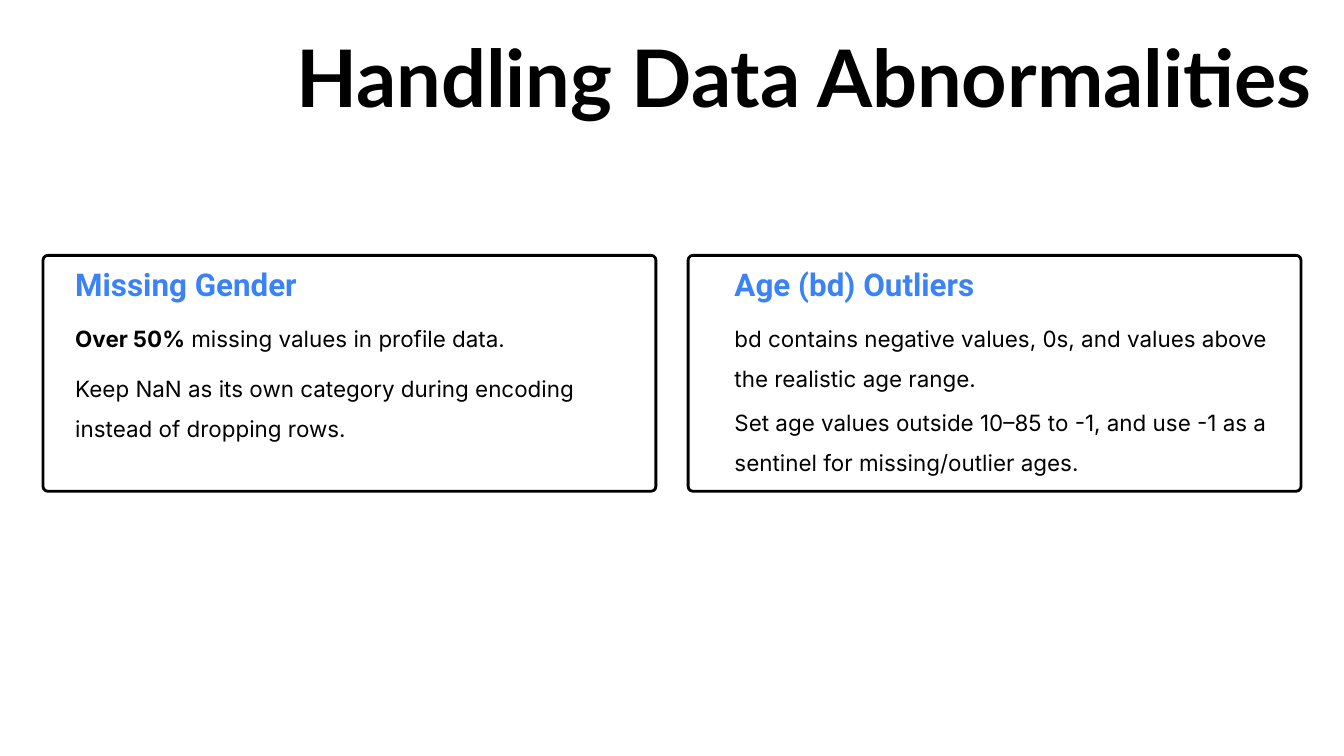
from pptx import Presentation
from pptx import util as u
from pptx.dml.color import RGBColor
from pptx.enum import shapes, text

BLACK = RGBColor(0x00, 0x00, 0x00)
BLUE = RGBColor(0x3B, 0x82, 0xF6)

deck = Presentation()
deck.slide_width = u.Inches(20)
deck.slide_height = u.Inches(11.25)
slide = deck.slides.add_slide(deck.slide_layouts[6])


def write(content, left, top, width, height, size=24, font="Inter", color=BLACK,
          bold=False, lead="", spacing=43.3, align=text.PP_ALIGN.LEFT):
    box = slide.shapes.add_textbox(
        u.Inches(left), u.Inches(top), u.Inches(width), u.Inches(height))
    frame = box.text_frame
    frame.word_wrap = True
    frame.auto_size = text.MSO_AUTO_SIZE.SHAPE_TO_FIT_TEXT
    frame.margin_left = frame.margin_right = 0
    frame.margin_top = frame.margin_bottom = 0
    paragraph = frame.paragraphs[0]
    paragraph.alignment = align
    paragraph.line_spacing = u.Pt(spacing)
    for words, heavy in ((lead, True), (content, bold)):
        if words:
            run = paragraph.add_run()
            run.text = words
            run.font.size = u.Pt(size)
            run.font.name = font
            run.font.bold = heavy
            run.font.color.rgb = color


write("Handling Data Abnormalities", 2.84, 0.42, 16.68, 1.42, size=85, font="Lato",
      bold=True, spacing=102, align=text.PP_ALIGN.RIGHT)

abnormalities = [
    (0.64, 1.12, "Missing Gender", [
        (4.63, 0.56, "Over 50%", " missing values in profile data."),
        (5.38, 1.16, "", "Keep NaN as its own category during encoding "
                         "instead of dropping rows."),
    ]),
    (10.24, 10.93, "Age (bd) Outliers", [
        (4.63, 1.16, "", "bd contains negative values, 0s, and values above "
                         "the realistic age range."),
        (5.88, 1.16, "", "Set age values outside 10–85 to -1, and use -1 as a "
                         "sentinel for missing/outlier ages."),
    ]),
]

for card_left, text_left, heading, details in abnormalities:
    card = slide.shapes.add_shape(
        shapes.MSO_SHAPE.ROUNDED_RECTANGLE,
        u.Inches(card_left), u.Inches(3.8), u.Inches(9.12), u.Inches(3.51))
    card.adjustments[0] = 0.02
    card.shadow.inherit = False
    card.fill.background()
    card.line.color.rgb = BLACK
    card.line.width = u.Pt(3)
    write(heading, text_left, 3.94, 8.64, 0.59, size=33.6, font="Roboto",
          color=BLUE, bold=True, spacing=40.4)
    for top, height, lead, detail in details:
        write(detail, text_left, top, 8.23, height, lead=lead)

deck.save("out.pptx")
